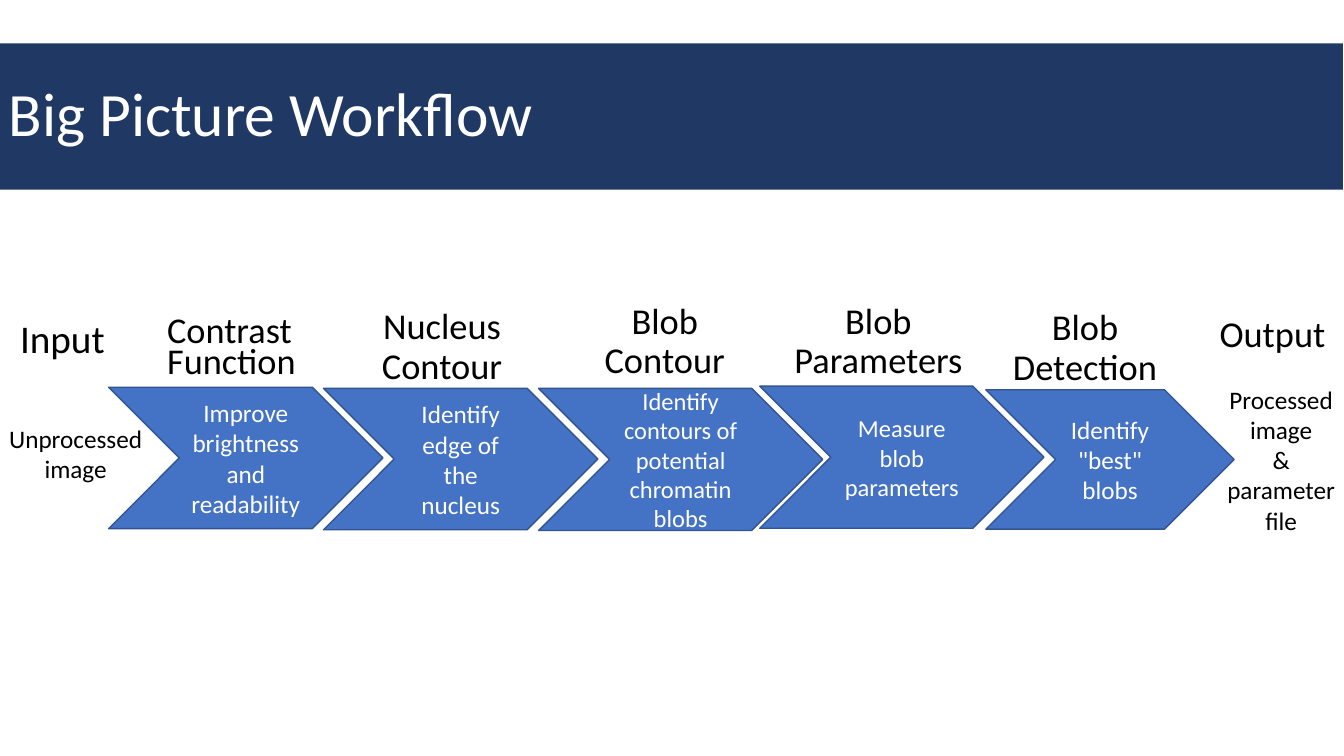
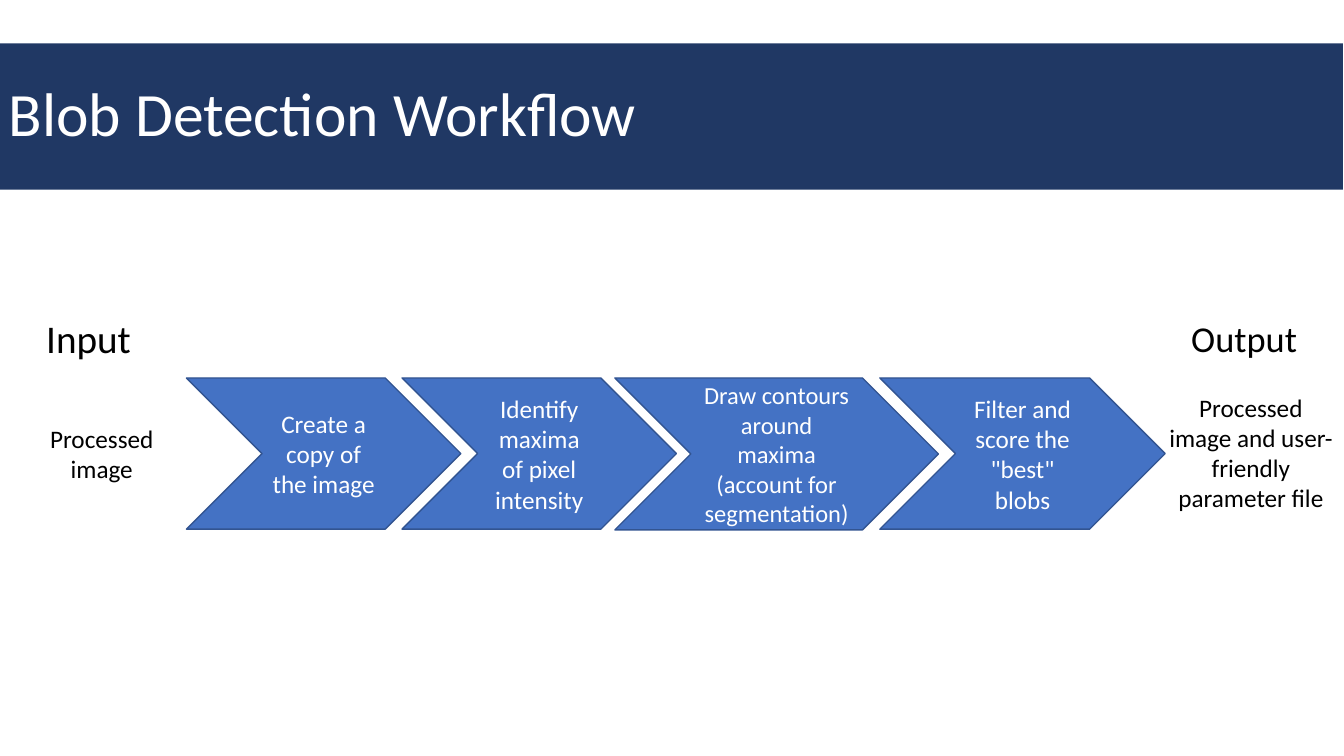
import pptx
import pptx.dml.color
import pptx.enum.shapes
import pptx.enum.text
import pptx.util

Pt = pptx.util.Pt
SHAPES = pptx.enum.shapes.MSO_SHAPE
ANCHOR = pptx.enum.text.MSO_ANCHOR
LEFT = pptx.enum.text.PP_ALIGN.LEFT
CENTER = pptx.enum.text.PP_ALIGN.CENTER

FONT = "Calibri"
COLORS = {
    "band": "203864",
    "step": "4472C4",
    "step_line": "325491",
    "light": "FFFFFF",
    "dark": "000000",
}
SLIDE_WIDTH, SLIDE_HEIGHT = 960, 540

# Steps: text, left, top, width, height, font size
# Headings: text, left, top, width, height, font size, line spacing, alignment
# Captions: text, left, top, width, height
slides = [
    {
        "title": "Big Picture Workflow",
        "steps": [
            ("Improve brightness and readability", 77.6, 276.6, 196, 101, 18),
            ("Identify edge of the nucleus", 231.1, 277.4, 196, 101, 18),
            ("Identify contours of potential chromatin blobs", 384.7, 277.4, 203, 101.5, 17.5),
            ("Measure blob parameters", 542.7, 275.8, 203, 101.5, 17.5),
            ('Identify "best" blobs', 704.2, 278.4, 177.4, 99.6, 18),
        ],
        "headings": [
            ("Input", 7.2, 224.6, 82, 41, 28, 0.9, LEFT),
            ("Contrast Function", 112.3, 224.6, 118.8, 57, 25.9, 0.7, LEFT),
            ("Nucleus Contour", 239.8, 216.7, 152, 57, 26, 0.9, CENTER),
            ("Blob Contour", 398.9, 213, 152, 57, 26, 0.9, CENTER),
            ("Blob Parameters", 551.5, 213, 152, 57, 26, 0.9, CENTER),
            ("Blob Detection", 691.2, 217.4, 167.8, 57, 26, 0.9, CENTER),
            ("Output", 864, 222.5, 99.4, 38, 26, 0.9, LEFT),
        ],
        "captions": [
            ("Unprocessed image", -2.9, 298.8, 113.8, 51),
            ("Processed image\n&\nparameter file", 865.4, 270.7, 99.4, 116.6),
        ],
    },
    {
        "title": "Blob Detection Workflow",
        "steps": [
            ("Create a copy of the image", 133.2, 270, 196, 108, 18),
            ("Identify maxima of pixel intensity", 287.2, 270, 196, 108, 18),
            ("Draw contours around maxima (account for segmentation)", 439.2, 270, 231.1, 108.5, 17.5),
            ('Filter and score the "best" blobs', 628.5, 270, 203.8, 108, 18),
        ],
        "headings": [
            ("Input", 25.9, 224.6, 82, 41, 28, 0.9, LEFT),
            ("Output", 843.8, 226.1, 99.4, 38, 26, 0.9, LEFT),
        ],
        "captions": [
            ("Processed image", 15.8, 298.8, 113.8, 51),
            ("Processed image and user-friendly parameter file", 828, 276.5, 131, 94.3),
        ],
    },
]


def write_text(box, text, size, color, align, spacing=1.0, anchor=ANCHOR.TOP):
    frame = box.text_frame
    frame.word_wrap = True
    frame.vertical_anchor = anchor
    frame.text = text
    for para in frame.paragraphs:
        para.alignment = align
        para.line_spacing = spacing
        para.font.name = FONT
        para.font.size = Pt(size)
        para.font.color.rgb = pptx.dml.color.RGBColor.from_string(COLORS[color])


def add_block(slide, kind, bounds, fill, line=None):
    block = slide.shapes.add_shape(kind, *map(Pt, bounds))
    block.shadow.inherit = False
    block.fill.solid()
    block.fill.fore_color.rgb = pptx.dml.color.RGBColor.from_string(COLORS[fill])
    if line:
        block.line.color.rgb = pptx.dml.color.RGBColor.from_string(COLORS[line])
        block.line.width = Pt(1)
    else:
        block.line.fill.background()
    return block


deck = pptx.Presentation()
deck.slide_width = Pt(SLIDE_WIDTH)
deck.slide_height = Pt(SLIDE_HEIGHT)

for content in slides:
    slide = deck.slides.add_slide(deck.slide_layouts[6])

    # Title band
    band = add_block(slide, SHAPES.RECTANGLE, (-0.7, 31, SLIDE_WIDTH, 104.4), "band")
    write_text(band, content["title"], 44, "light", LEFT, 0.9, ANCHOR.MIDDLE)

    # Chevron steps
    for text, *bounds, size in content["steps"]:
        step = add_block(slide, SHAPES.CHEVRON, bounds, "step", "step_line")
        write_text(step, text, size, "light", CENTER, anchor=ANCHOR.MIDDLE)

    # Headings above the steps
    for text, *bounds, size, spacing, align in content["headings"]:
        heading = slide.shapes.add_textbox(*map(Pt, bounds))
        write_text(heading, text, size, "dark", align, spacing)

    # Input and output captions
    for text, *bounds in content["captions"]:
        caption = slide.shapes.add_textbox(*map(Pt, bounds))
        write_text(caption, text, 18, "dark", CENTER)

deck.save("out.pptx")
